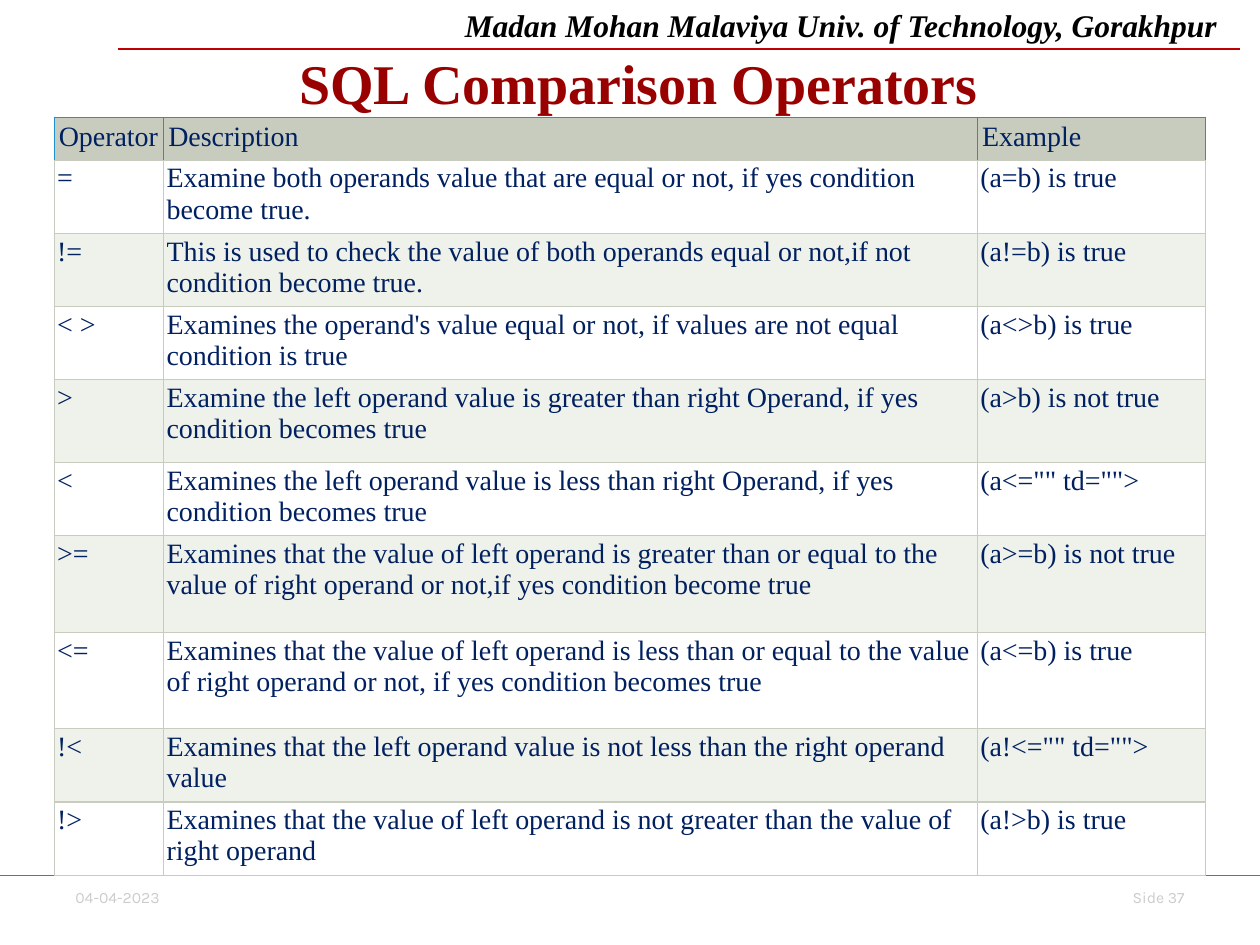
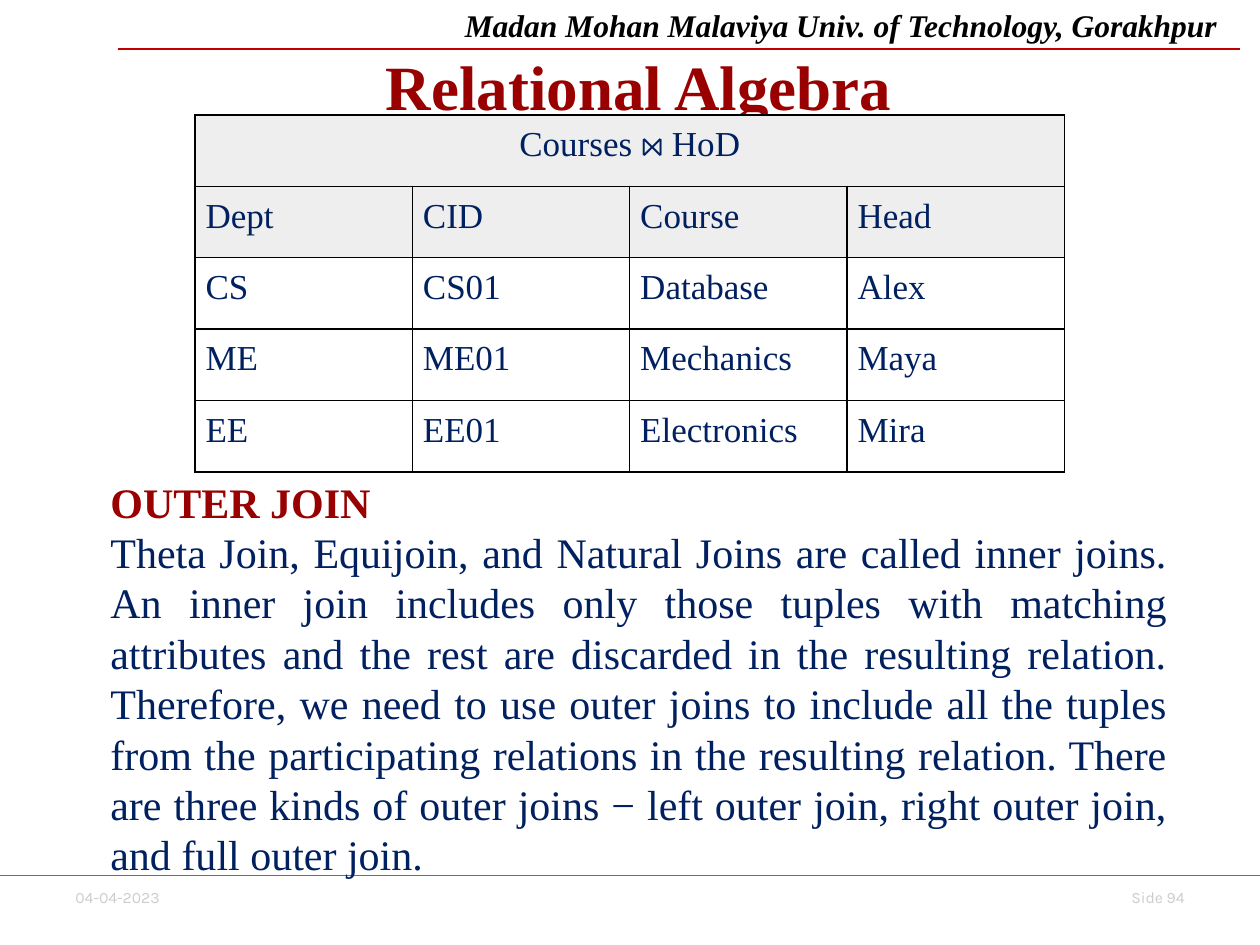
from lxml import etree
from pptx import Presentation
from pptx.dml.color import RGBColor
from pptx.enum import shapes, text
from pptx.oxml import ns
from pptx.util import Pt

# Shared colours and fonts
MAROON = RGBColor(0x99, 0x00, 0x00)
NAVY = RGBColor(0x00, 0x20, 0x60)
BLACK = RGBColor(0x00, 0x00, 0x00)
RED = RGBColor(0xC0, 0x00, 0x00)
GREEN = RGBColor(0x00, 0xB0, 0x50)
FOOTER_GREY = RGBColor(0xCC, 0xCC, 0xCC)
SAGE = RGBColor(0xC7, 0xCC, 0xBE)
PALE_SAGE = RGBColor(0xEF, 0xF1, 0xEB)
SKY = RGBColor(0x20, 0x91, 0xCD)
LIGHT_GREY = RGBColor(0xEE, 0xEE, 0xEE)
WHITE = RGBColor(0xFF, 0xFF, 0xFF)
SERIF = "Times New Roman"
FOOTER_FONT = "Karla"

LEFT, CENTER, RIGHT, JUSTIFY = (
    text.PP_ALIGN.LEFT, text.PP_ALIGN.CENTER, text.PP_ALIGN.RIGHT, text.PP_ALIGN.JUSTIFY)
SIDES = ("L", "R", "T", "B")

OPERATORS = [
    ("Operator", "Description", "Example"),
    ("=", "Examine both operands value that are equal or not, if yes condition become true.",
     "(a=b) is true"),
    ("!=", "This is used to check the value of both operands equal or not,if not "
     "condition become true.", "(a!=b) is true"),
    ("< >", "Examines the operand's value equal or not, if values are not equal "
     "condition is true", "(a<>b) is true"),
    (">", "Examine the left operand value is greater than right Operand, if yes "
     "condition becomes true", "(a>b) is not true"),
    ("<", "Examines the left operand value is less than right Operand, if yes "
     "condition becomes true", '(a<="" td="">'),
    (">=", "Examines that the value of left operand is greater than or equal to the value "
     "of right operand or not,if yes condition become true", "(a>=b) is not true"),
    ("<=", "Examines that the value of left operand is less than or equal to the value "
     "of right operand or not, if yes condition becomes true", "(a<=b) is true"),
    ("!<", "Examines that the left operand value is not less than the right operand value",
     '(a!<="" td="">'),
    ("!>", "Examines that the value of left operand is not greater than the value of "
     "right operand", "(a!>b) is true"),
]
OPERATOR_ROW_HEIGHTS = [24.5, 41.8, 41.8, 41.8, 47.5, 41.8, 55.2, 55.2, 41.8, 41.8]

COURSES = [
    ("Courses ⋈ HoD", "", "", ""),
    ("Dept", "CID", "Course", "Head"),
    ("CS", "CS01", "Database", "Alex"),
    ("ME", "ME01", "Mechanics", "Maya"),
    ("EE", "EE01", "Electronics", "Mira"),
]

OUTER_JOIN = (
    "Theta Join, Equijoin, and Natural Joins are called inner joins. An inner join includes "
    "only those tuples with matching attributes and the rest are discarded in the resulting "
    "relation. Therefore, we need to use outer joins to include all the tuples from the "
    "participating relations in the resulting relation. There are three kinds of outer joins "
    "− left outer join, right outer join, and full outer join.")


def format_paragraph(paragraph, size, color, bold=False, italic=False, font=SERIF, align=LEFT):
    paragraph.alignment = align
    for run in paragraph.runs:
        run.font.name = font
        run.font.size = Pt(size)
        run.font.bold = bold
        run.font.italic = italic
        run.font.color.rgb = color


def add_text(slide, box, content, size, color, anchor=text.MSO_ANCHOR.TOP, **style):
    shape = slide.shapes.add_textbox(*map(Pt, box))
    frame = shape.text_frame
    frame.word_wrap = True
    frame.vertical_anchor = anchor
    frame.text = content
    format_paragraph(frame.paragraphs[0], size, color, **style)
    return frame


def add_rule(slide, left, right, y, color):
    line = slide.shapes.add_connector(
        shapes.MSO_CONNECTOR.STRAIGHT, Pt(left), Pt(y), Pt(right), Pt(y))
    line.line.color.rgb = color
    line.line.width = Pt(0.75)
    etree.SubElement(line._element.spPr, ns.qn("a:effectLst"))


def add_slide(presentation, title, title_box, title_size, number):
    """Blank slide with the common header, footer and title."""
    slide = presentation.slides.add_slide(presentation.slide_layouts[6])
    add_text(slide, (36, 504, 74, 18), "04-04-2023", 9, FOOTER_GREY, font=FOOTER_FONT)
    add_text(slide, (624, 504, 60, 18), f"Side {number}", 9, FOOTER_GREY,
             font=FOOTER_FONT, align=RIGHT)
    add_text(slide, (258.5, 0, 461.5, 29), "Madan Mohan Malaviya Univ. of Technology, Gorakhpur",
             18, BLACK, bold=True, italic=True)
    add_rule(slide, 67.5, 708.5, 28, RED)
    add_rule(slide, 0, 720, 500.5, GREEN)
    add_text(slide, title_box, title, title_size, MAROON, bold=True, align=CENTER,
             anchor=text.MSO_ANCHOR.MIDDLE)
    return slide


def set_borders(cell, width, colors):
    properties = cell._tc.get_or_add_tcPr()
    for side, color in zip(SIDES, colors):
        line = etree.SubElement(properties, ns.qn(f"a:ln{side}"), w=str(Pt(width)))
        fill = etree.SubElement(line, ns.qn("a:solidFill"))
        etree.SubElement(fill, ns.qn("a:srgbClr"), val=str(color))


def style_cell(cell, content, size, inset, fill, border_width, border_colors):
    set_borders(cell, border_width, border_colors)
    if fill is None:
        cell.fill.background()
    else:
        cell.fill.solid()
        cell.fill.fore_color.rgb = fill
    cell.margin_left = cell.margin_right = cell.margin_top = cell.margin_bottom = Pt(inset)
    cell.text_frame.text = content
    format_paragraph(cell.text_frame.paragraphs[0], size, NAVY)


def add_grid(slide, left, top, widths, heights):
    frame = slide.shapes.add_table(len(heights), len(widths), Pt(left), Pt(top),
                                   Pt(sum(widths)), Pt(sum(heights)))
    table = frame.table
    table.first_row = table.horz_banding = False
    for column, width in zip(table.columns, widths):
        column.width = Pt(width)
    for row, height in zip(table.rows, heights):
        row.height = Pt(height)
    return table


def add_operator_table(slide):
    table = add_grid(slide, 31, 67, (62.6, 465, 130.4), OPERATOR_ROW_HEIGHTS)
    for r, row in enumerate(OPERATORS):
        for c, content in enumerate(row):
            if r == 0:
                style_cell(table.cell(r, c), content, 16, 2.6, SAGE, 0.75, (SKY, SKY, SKY, SAGE))
            else:
                band = WHITE if r % 2 else PALE_SAGE
                style_cell(table.cell(r, c), content, 16, 1.6, band, 0.75, [SAGE] * 4)


def add_course_table(slide):
    table = add_grid(slide, 111.5, 65.7, [124.2] * 4, [40.8] * 5)
    for r, row in enumerate(COURSES):
        for c, content in enumerate(row):
            style_cell(table.cell(r, c), content, 20, 6, LIGHT_GREY if r < 2 else None,
                       1, [BLACK] * 4)
    heading = table.cell(0, 0)
    heading.merge(table.cell(0, 3))
    heading.text_frame.paragraphs[0].alignment = CENTER


def add_outer_join(slide):
    frame = add_text(slide, (56, 268.5, 618, 240), "OUTER JOIN", 24, MAROON, bold=True)
    body = frame.add_paragraph()
    body.text = OUTER_JOIN
    format_paragraph(body, 24, NAVY, align=JUSTIFY)
    for paragraph in frame.paragraphs:
        paragraph.line_spacing = Pt(28.8)


def main():
    presentation = Presentation()
    presentation.slide_width, presentation.slide_height = Pt(720), Pt(540)

    # Comparison operators
    slide = add_slide(presentation, "SQL Comparison Operators", (56, 20, 618, 54), 32, 37)
    add_operator_table(slide)

    # Natural join result and outer joins
    slide = add_slide(presentation, "Relational Algebra", (56, 21, 618, 56), 36, 94)
    add_course_table(slide)
    add_outer_join(slide)

    presentation.save("out.pptx")


if __name__ == "__main__":
    main()
